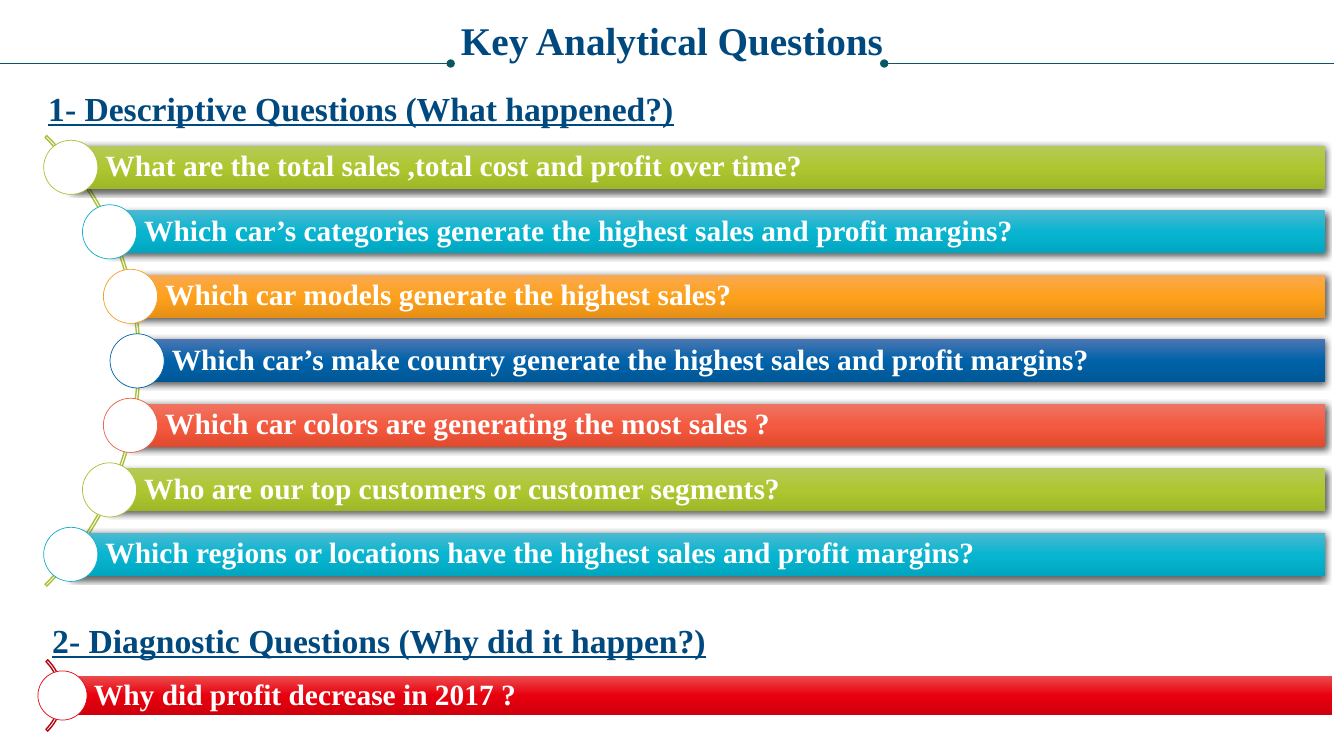
"""Build the key analytical questions slide."""
import math
from dataclasses import dataclass

import pptx
import pptx.dml.color
import pptx.enum.shapes
import pptx.enum.text
import pptx.oxml
import pptx.oxml.ns
import pptx.util

Inches = pptx.util.Inches
Pt = pptx.util.Pt
Shape = pptx.enum.shapes.MSO_SHAPE
Align = pptx.enum.text.PP_ALIGN
Anchor = pptx.enum.text.MSO_ANCHOR
SPACE = pptx.oxml.ns.nsdecls("a")


@dataclass(frozen=True)
class Theme:
    """Hold the colours and type sizes."""
    font: str = "Times New Roman"
    navy: str = "00497F"
    teal: str = "085764"
    white: str = "FFFFFF"
    title: int = 28
    head: int = 24
    body: int = 21
    lime: tuple = ("B4CA58", "AEC731", "9EB726", "A9C038")
    cyan: tuple = ("4CB9D1", "08B5D0", "00A6C0", "11AEC7")
    amber: tuple = ("F9A952", "FFA11C", "E58F17", "F59F26")
    blue: tuple = ("4B76B3", "0062A9", "005796", "0062A9")
    coral: tuple = ("EF7564", "F35A3F", "E24A2E", "EB6047")
    red: tuple = ("EB4B4C", "E8000E", "CE000C", "E20613")
    wine: str = "B5050F"


THEME = Theme()


def rgb(code):
    """Turn a hex code into a colour."""
    return pptx.dml.color.RGBColor.from_string(code)


def write(frame, text, size, color, under=False):
    """Put one bold line of text in a frame."""
    frame.word_wrap = True
    frame.text = text
    line = frame.paragraphs[0]
    font = line.runs[0].font
    font.name, font.size, font.bold = THEME.font, Pt(size), True
    font.color.rgb = rgb(color)
    if under:
        font.underline = True
    return line


def pad(frame, left, rest):
    """Set the insets of a frame in inches."""
    frame.margin_left = Inches(left)
    frame.margin_top = frame.margin_right = frame.margin_bottom = Inches(rest)


def draw(slide, kind, left, top, width, height, line=None, weight=0.5):
    """Add a plain shape with the given outline."""
    shape = slide.shapes.add_shape(
        kind, Inches(left), Inches(top), Inches(width), Inches(height))
    shape.shadow.inherit = False
    if line:
        shape.line.color.rgb = rgb(line)
        shape.line.width = Pt(weight)
    else:
        shape.line.fill.background()
    return shape


def shade(shape, tones):
    """Fill a shape with a three-tone vertical gradient."""
    stops = "".join(
        f'<a:gs pos="{i * 50000}"><a:srgbClr val="{tone}"/></a:gs>'
        for i, tone in enumerate(tones))
    shape.element.spPr.insert(2, pptx.oxml.parse_xml(
        f'<a:gradFill {SPACE} rotWithShape="1"><a:gsLst>{stops}</a:gsLst>'
        '<a:lin ang="5400000" scaled="0"/></a:gradFill>'))


def drop(shape):
    """Give a shape a soft shadow below it."""
    effects = shape.element.spPr.find(pptx.oxml.ns.qn("a:effectLst"))
    effects.append(pptx.oxml.parse_xml(
        f'<a:outerShdw {SPACE} blurRad="57150" dist="19050" dir="5400000" '
        'algn="ctr" rotWithShape="0"><a:srgbClr val="000000">'
        '<a:alpha val="63000"/></a:srgbClr></a:outerShdw>'))


def rule(slide, start, stop, top):
    """Draw a title rule with a dot at its stop."""
    line = slide.shapes.add_connector(
        pptx.enum.shapes.MSO_CONNECTOR.STRAIGHT,
        Inches(start), Inches(top), Inches(stop), Inches(top))
    line.line.color.rgb = rgb(THEME.teal)
    line.line.width = Pt(0.5)
    line.line._get_or_add_ln().append(
        pptx.oxml.parse_xml(f'<a:tailEnd {SPACE} type="oval"/>'))
    line.element.spPr.append(pptx.oxml.parse_xml(f"<a:effectLst {SPACE}/>"))


def banner(slide, left, top, width, height):
    """Place the title and the rules on both sides."""
    box = slide.shapes.add_textbox(
        Inches(left), Inches(top), Inches(width), Inches(height))
    line = write(box.text_frame, "Key Analytical Questions",
                 THEME.title, THEME.navy)
    pad(box.text_frame, 0, 0)
    line.alignment = Align.CENTER
    line.line_spacing = 0.9
    for start, stop in ((0, 4.47), (13.23, 8.77)):
        rule(slide, start, stop, top + 0.42)


def heading(slide, left, top, width, text):
    """Place an underlined section heading."""
    box = slide.shapes.add_textbox(
        Inches(left), Inches(top), Inches(width), Inches(0.5))
    write(box.text_frame, text, THEME.head, THEME.navy, under=True)


def bar(slide, left, mid, right, height, text, tones, shadow):
    """Place one question bar with a circle on its left end."""
    shape = draw(slide, Shape.RECTANGLE, left, mid - height / 2,
                 right - left, height)
    shade(shape, tones[:3])
    if shadow:
        drop(shape)
    frame = shape.text_frame
    line = write(frame, text, THEME.body, THEME.white)
    line.alignment = Align.LEFT
    line.line_spacing = 0.9
    frame.vertical_anchor = Anchor.MIDDLE
    pad(frame, height * 0.8, 0.06)
    size = height * 1.25
    dot = draw(slide, Shape.OVAL, left - size / 2, mid - size / 2,
               size, size, tones[3])
    dot.fill.solid()
    dot.fill.fore_color.rgb = rgb(THEME.white)


def fan(slide, left, top, size, reach, right, height, color, rows,
        step=0.64, shadow=True):
    """Place question bars along the arc held in a square box."""
    arc = draw(slide, Shape.BLOCK_ARC, left, top, size, size, color, 1)
    arc.fill.background()
    for i, value in enumerate((189, 27, 0.025 / size)):
        arc.adjustments[i] = value
    hub, mid = left + size / 2, top + size / 2
    for i, (text, tones) in enumerate(rows):
        rise = (i - (len(rows) - 1) / 2) * step
        start = hub + math.sqrt(reach ** 2 - rise ** 2)
        bar(slide, start, mid + rise, right, height, text, tones, shadow)


def main():
    """Build and save the slide."""
    deck = pptx.Presentation()
    deck.slide_width, deck.slide_height = Inches(13.33), Inches(7.5)
    slide = deck.slides.add_slide(deck.slide_layouts[6])
    banner(slide, 0.25, 0.21, 12.83, 0.85)
    heading(slide, 0.38, 0.82, 6.67,
            "1- Descriptive Questions (What happened?)")
    fan(slide, -4.93, 0.42, 6.32, 3.13, 13.14, 0.43, THEME.lime[3], (
        ("What are the total sales ,total cost and profit over time?",
         THEME.lime),
        ("Which car’s categories generate the highest sales and profit "
         "margins?", THEME.cyan),
        ("Which car models generate the highest sales?", THEME.amber),
        ("Which car’s make country generate the highest sales and profit "
         "margins?", THEME.blue),
        ("Which car colors are generating the most sales ?", THEME.coral),
        ("Who are our top customers or customer segments?", THEME.lime),
        ("Which regions or locations have the highest sales and profit "
         "margins?", THEME.cyan)))
    heading(slide, 0.42, 6.1, 7.27,
            "2- Diagnostic Questions (Why did it happen?)")
    fan(slide, -0.38, 6.4, 1, 0.5, 13.21, 0.39, THEME.wine,
        (("Why did profit decrease in 2017 ?", THEME.red),), shadow=False)
    deck.save("out.pptx")


if __name__ == "__main__":
    main()
